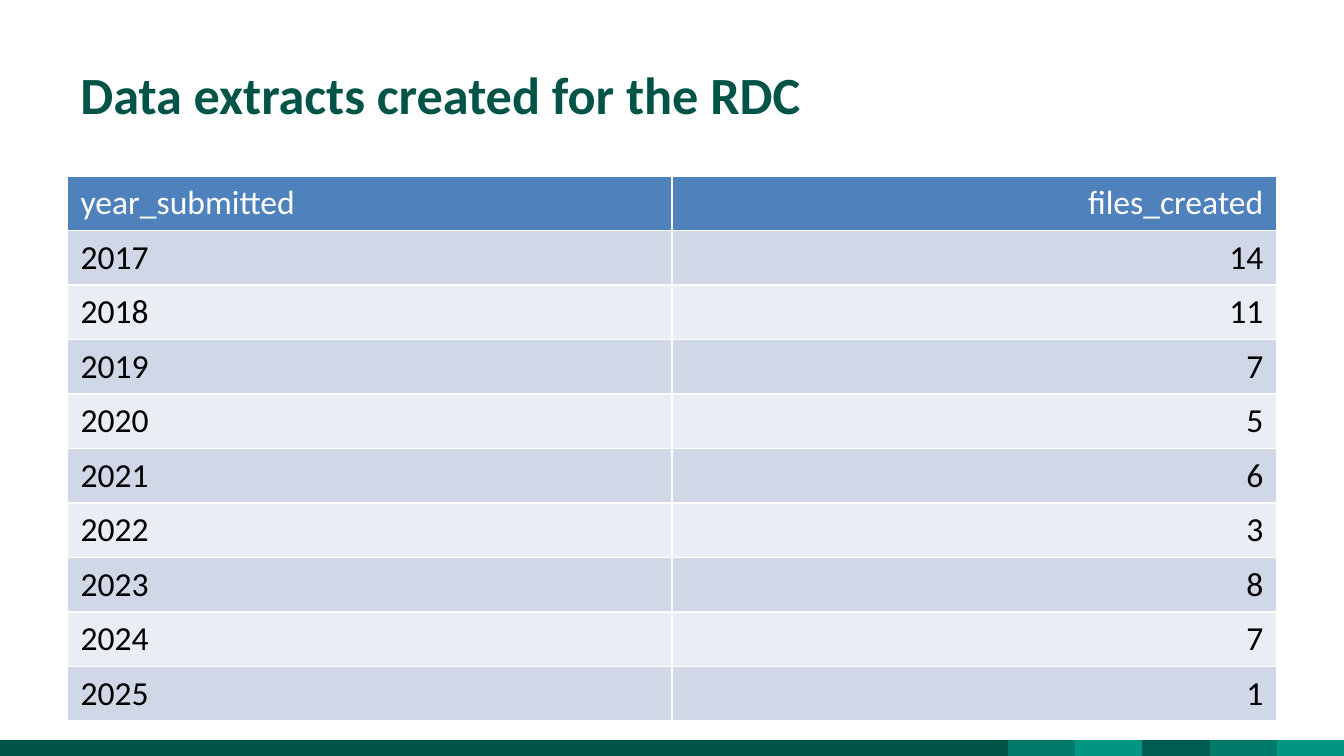
"""Builds the slide of data extracts created per year."""
from pptx import Presentation
from pptx.dml.color import RGBColor
from pptx.enum.shapes import MSO_SHAPE as Shape
from pptx.enum.text import MSO_ANCHOR as Anchor, PP_ALIGN as Align
from pptx.util import Cm, Pt


def paint(color, code):
    color.rgb = RGBColor.from_string(code)


class Deck:
    font = "Calibri"
    green = "005447"
    head = "4F81BD"
    bands = ("D0D8E8", "E9EDF4")

    def __init__(self, wide, high):
        self.prs = Presentation()
        self.prs.slide_width, self.prs.slide_height = Cm(wide), Cm(high)
        self.slide = self.prs.slides.add_slide(self.prs.slide_layouts[6])

    def label(self, frame, text, size, color, bold=False, align=Align.LEFT):
        para = frame.paragraphs[0]
        para.text, para.alignment = text, align
        font = para.font
        font.name, font.size, font.bold = self.font, Pt(size), bold
        paint(font.color, color)

    def block(self, x, y, w, h, color):
        box = self.slide.shapes.add_shape(Shape.RECTANGLE, Cm(x), Cm(y), Cm(w), Cm(h))
        box.shadow.inherit = False
        box.fill.solid()
        paint(box.fill.fore_color, color)
        box.line.fill.background()

    def title(self, x, y, w, h, text):
        frame = self.slide.shapes.add_textbox(Cm(x), Cm(y), Cm(w), Cm(h)).text_frame
        frame.word_wrap = True
        frame.vertical_anchor = Anchor.MIDDLE
        self.label(frame, text, 28, self.green, bold=True)

    def table(self, x, y, w, step, rows):
        count, wide = len(rows), len(rows[0])
        grid = self.slide.shapes.add_table(
            count, wide, Cm(x), Cm(y), Cm(w), Cm(step * count)).table
        for r, row in enumerate(rows):
            fill = self.bands[(r - 1) % 2] if r else self.head
            ink = "000000" if r else "FFFFFF"
            for c, value in enumerate(row):
                cell = grid.cell(r, c)
                cell.fill.solid()
                paint(cell.fill.fore_color, fill)
                align = Align.RIGHT if c else Align.LEFT
                self.label(cell.text_frame, str(value), 18, ink, align=align)


def main():
    deck = Deck(25.4, 14.29)
    deck.block(0, 13.99, 25.4, 0.32, deck.green)
    tiles = ("007A69", "009681", "005C4F", "007A69", "009681")
    for i, color in enumerate(tiles):
        deck.block(19.05 + 1.27 * i, 13.99, 1.27, 0.32, color)
    deck.title(1.27, 0.58, 22.86, 2.39, "Data extracts created for the RDC")
    files = (14, 11, 7, 5, 6, 3, 8, 7, 1)
    rows = [("year_submitted", "files_created"), *enumerate(files, 2017)]
    deck.table(1.27, 3.33, 22.86, 1.03, rows)
    deck.prs.save("out.pptx")


if __name__ == "__main__":
    main()
